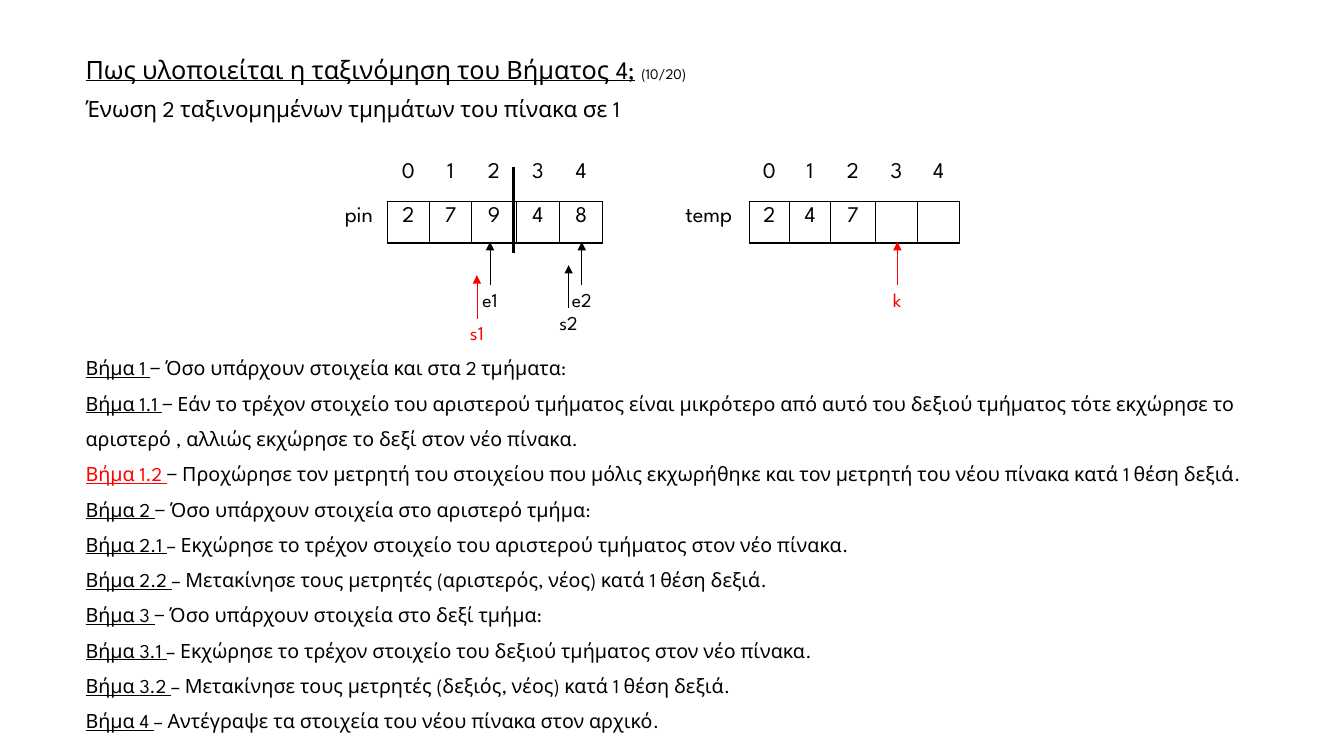
from pptx import Presentation
from pptx.util import Inches, Pt
from pptx.dml.color import RGBColor
from pptx.enum.shapes import MSO_CONNECTOR as CONN
from pptx.enum.text import PP_ALIGN as ALIGN, MSO_AUTO_SIZE as FIT
from pptx.oxml import parse_xml
from pptx.oxml.ns import nsdecls
from lxml.etree import SubElement

BLACK = RGBColor(0, 0, 0)
RED = RGBColor(0xFF, 0, 0)
FONT = "League Spartan"

prs = Presentation()
prs.slide_width, prs.slide_height = Inches(13.33), Inches(7.5)
s = prs.slides.add_slide(prs.slide_layouts[6])


def add_text(tf, lines, para):
    tf.word_wrap = True
    for i, runs in enumerate(lines):
        p = tf.paragraphs[0] if i == 0 else tf.add_paragraph()
        for key, value in para.items():
            setattr(p, key, value)
        for text, size, color, underline in runs:
            r = p.add_run()
            r.text = text
            r.font.color.rgb = color
            look = {"name": FONT, "size": Pt(size), "underline": underline}
            for key, value in look.items():
                setattr(r.font, key, value)


def add_line(x, y1, y2, color, width, arrow=False):
    c = s.shapes.add_connector(CONN.STRAIGHT, Inches(x), Inches(y1), Inches(x), Inches(y2))
    c.line.color.rgb = color
    c.line.width = Pt(width)
    if arrow:
        ln = c.line._get_or_add_ln()
        ln.append(parse_xml(f'<a:tailEnd {nsdecls("a")} type="triangle"/>'))
    c._element.spPr.append(parse_xml(f'<a:effectLst {nsdecls("a")}/>'))


HEAD = {"line_spacing": 0.9, "space_before": Pt(10)}
title = [
    [("Πως υλοποιείται η ταξινόμηση του Βήματος 4;", 18, BLACK, True),
     (" ", 18, BLACK, False), ("(10/20)", 10.5, BLACK, False)],
    [("Ένωση 2 ταξινομημένων τμημάτων του πίνακα σε 1", 16, BLACK, False)],
]
tb = s.shapes.add_textbox(Inches(0.75), Inches(0.52), Inches(10.79), Inches(0.77))
add_text(tb.text_frame, title, HEAD)

steps = [
    ("1", "− Όσο υπάρχουν στοιχεία και στα 2 τμήματα:"),
    ("1.1", "− Εάν το τρέχον στοιχείο του αριστερού τμήματος είναι μικρότερο από αυτό του "
            "δεξιού τμήματος τότε εκχώρησε το αριστερό , αλλιώς εκχώρησε το δεξί στον νέο πίνακα."),
    ("1.2", "− Προχώρησε τον μετρητή του στοιχείου που μόλις εκχωρήθηκε και τον μετρητή "
            "του νέου πίνακα κατά 1 θέση δεξιά."),
    ("2", "− Όσο υπάρχουν στοιχεία στο αριστερό τμήμα:"),
    ("2.1", "– Εκχώρησε το τρέχον στοιχείο του αριστερού τμήματος στον νέο πίνακα."),
    ("2.2", "– Μετακίνησε τους μετρητές (αριστερός, νέος) κατά 1 θέση δεξιά."),
    ("3", "− Όσο υπάρχουν στοιχεία στο δεξί τμήμα:"),
    ("3.1", "– Εκχώρησε το τρέχον στοιχείο του δεξιού τμήματος στον νέο πίνακα."),
    ("3.2", "– Μετακίνησε τους μετρητές (δεξιός, νέος) κατά 1 θέση δεξιά."),
    ("4", "– Αντέγραψε τα στοιχεία του νέου πίνακα στον αρχικό."),
]
current_step = "1.2"
step_lines = [
    [(f"Βήμα {num} ", 14, RED if num == current_step else BLACK, True),
     (text, 14, BLACK, False)]
    for num, text in steps
]
tb = s.shapes.add_textbox(Inches(0.75), Inches(3.37), Inches(12.35), Inches(3.94))
add_text(tb.text_frame, step_lines, {"line_spacing": 1.5})
tb.text_frame.auto_size = FIT.SHAPE_TO_FIT_TEXT

arrays = [
    ("temp", 6.63, [0.8, 0.4, 0.41, 0.44, 0.42, 0.42], ["2", "4", "7", "", ""]),
    ("pin", 3.28, [0.56, 0.42, 0.42, 0.44, 0.43, 0.43], ["2", "7", "9", "4", "8"]),
]
for name, left, widths, values in arrays:
    rows = [["", "0", "1", "2", "3", "4"], [name, *values]]
    frame = s.shapes.add_table(2, 6, Inches(left), Inches(1.57), Inches(sum(widths)), Inches(0.84))
    t = frame.table
    t.first_row = t.horz_banding = False
    t._tbl.tblPr[0].text = "{2D5ABB26-0587-4C30-8999-92F81FD0307C}"
    for col, width in zip(t.columns, widths):
        col.width = Inches(width)
    for row, height in zip(t.rows, (0.43, 0.41)):
        row.height = Inches(height)
    for i, row in enumerate(rows):
        for j, text in enumerate(row):
            cell = t.cell(i, j)
            if text:
                add_text(cell.text_frame, [[(text, 16, BLACK, False)]], {"alignment": ALIGN.CENTER})
            sides = [["", "B"], ["R", "LRTB"]][i][j > 0]
            tcPr = cell._tc.get_or_add_tcPr()
            for side in sides:
                tcPr.append(parse_xml(
                    f'<a:ln{side} {nsdecls("a")} w="12700"><a:solidFill>'
                    f'<a:srgbClr val="{BLACK}"/></a:solidFill></a:ln{side}>'))
            cell.fill.background()

add_line(5.09, 2.51, 1.66, BLACK, 2.25)

pointers = [
    ("s2", 5.64, 3.06, BLACK),
    ("e2", 5.77, 2.83, BLACK),
    ("s1", 4.73, 3.16, RED),
    ("e1", 4.86, 2.83, BLACK),
    ("k", 8.9, 2.83, RED),
]
for name, x, y, color in pointers:
    tb = s.shapes.add_textbox(Inches(x - 0.235), Inches(y), Inches(0.47), Inches(0.35))
    add_text(tb.text_frame, [[(name, 14, color, False)]], {**HEAD, "alignment": ALIGN.CENTER})
    add_line(x, y, y - 0.43, color, 0.5, arrow=True)

prs.save("out.pptx")
